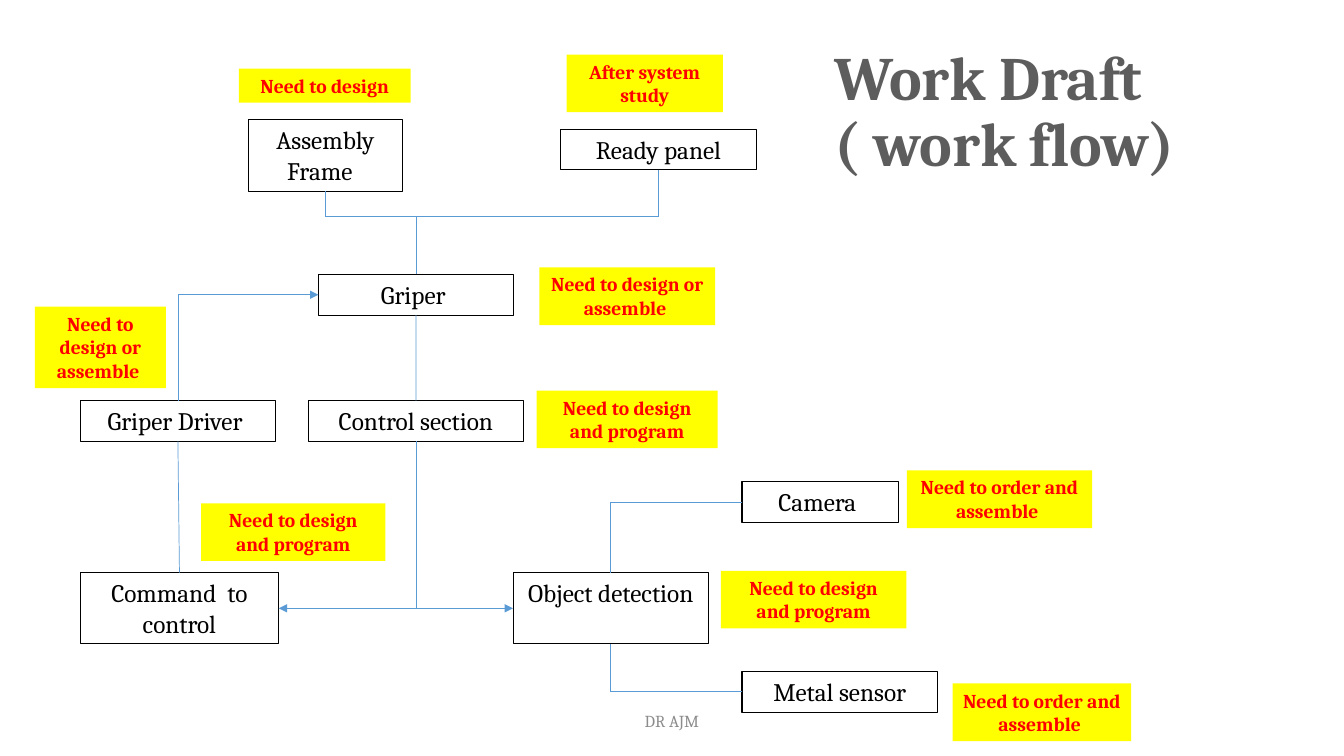
from itertools import pairwise

from lxml.etree import SubElement
from pptx import Presentation
from pptx.dml.color import RGBColor
from pptx.enum.shapes import MSO_CONNECTOR, MSO_SHAPE
from pptx.enum.text import MSO_ANCHOR, PP_ALIGN
from pptx.oxml.ns import qn
from pptx.util import Pt

BLACK = RGBColor(0x00, 0x00, 0x00)
RED = RGBColor(0xFF, 0x00, 0x00)
YELLOW = RGBColor(0xFF, 0xFF, 0x00)
BLUE = RGBColor(0x5B, 0x9B, 0xD5)
TITLE_GRAY = RGBColor(0x5D, 0x5D, 0x5D)
FOOTER_GRAY = RGBColor(0x8C, 0x8C, 0x8C)
FONT = "Cambria"

TITLE = "Work Draft\n( work flow)"
FOOTER = "DR AJM"

STEP_HEIGHTS = {1: 29.1, 2: 51}
STEPS = {
    "frame": ("Assembly Frame  ", 177.2, 85.5, 110.4, 2),
    "panel": ("Ready panel", 400.4, 92.3, 140, 1),
    "driver": ("Griper Driver ", 57.3, 286.1, 139.6, 1),
    "griper": ("Griper ", 227.4, 196, 139.6, 1),
    "control": ("Control section", 220.3, 286.1, 153.6, 1),
    "command": ("Command  to control", 57.3, 409, 141.8, 2),
    "detection": ("Object detection", 366.5, 409, 139.6, 2),
    "camera": ("Camera ", 530, 344, 111.6, 1),
    "sensor": ("Metal sensor", 530, 479.5, 139.6, 1),
}

NOTE_HEIGHTS = {1: 24.3, 2: 41.2, 3: 58.2}
NOTES = [
    ("After system study", 404.7, 39, 111.6, 2),
    ("Need to design", 170.6, 49, 122.7, 1),
    ("Need to design or assemble ", 385.3, 191, 125.5, 2),
    ("Need to design and program", 383.3, 279, 129.4, 2),
    ("Need to order and assemble ", 647.9, 336, 132.2, 2),
    ("Need to design and program", 515, 407.7, 132.5, 2),
    ("Need to order and assemble ", 680.5, 488.2, 127.5, 2),
    ("Need to design or assemble ", 25, 219, 93.5, 3),
    ("Need to design and program", 143.7, 359.5, 131.6, 2),
]

deck = Presentation()
deck.slide_width, deck.slide_height = Pt(960), Pt(540)
page = deck.slides.add_slide(deck.slide_layouts[6])


def write(frame, text, size, color, bold=False, align=PP_ALIGN.CENTER,
          anchor=MSO_ANCHOR.TOP, spacing=None):
    frame.word_wrap = True
    frame.vertical_anchor = anchor
    para = frame.paragraphs[0]
    para.alignment = align
    para.line_spacing = spacing
    for index, line in enumerate(text.split("\n")):
        if index:
            para.add_line_break()
        span = para.add_run()
        span.text = line
        span.font.name = FONT
        span.font.size = Pt(size)
        span.font.bold = bold
        span.font.color.rgb = color


def add_text(text, left, top, width, height, **style):
    box = page.shapes.add_textbox(Pt(left), Pt(top), Pt(width), Pt(height))
    write(box.text_frame, text, anchor=MSO_ANCHOR.MIDDLE, **style)


def add_box(text, left, top, width, height, fill=None, line=None, **style):
    box = page.shapes.add_shape(MSO_SHAPE.RECTANGLE, Pt(left), Pt(top), Pt(width), Pt(height))
    box.shadow.inherit = False
    if fill is None:
        box.fill.background()
    else:
        box.fill.solid()
        box.fill.fore_color.rgb = fill
    if line is None:
        box.line.fill.background()
    else:
        box.line.color.rgb = line
        box.line.width = Pt(0.75)
    write(box.text_frame, text, **style)


def add_route(points, arrow=False):
    legs = list(pairwise(points))
    for number, (start, end) in enumerate(legs, 1):
        leg = page.shapes.add_connector(MSO_CONNECTOR.STRAIGHT, *map(Pt, start + end))
        leg.line.color.rgb = BLUE
        leg.line.width = Pt(0.5)
        if arrow and number == len(legs):
            SubElement(leg.line._get_or_add_ln(), qn("a:tailEnd"), type="triangle")
        SubElement(leg._element.spPr, qn("a:effectLst"))


def side(name, where):
    _, left, top, width, lines = STEPS[name]
    height = STEP_HEIGHTS[lines]
    across, down = {"top": (0.5, 0), "bottom": (0.5, 1),
                    "left": (0, 0.5), "right": (1, 0.5)}[where]
    return left + across * width, top + down * height


def corner(column, row):
    return column[0], row[1]


add_text(FOOTER, 318, 500.5, 324, 28.8, size=12, color=FOOTER_GRAY)
add_text(TITLE, 589, 28.8, 358, 104.4, size=44, color=TITLE_GRAY, bold=True,
         align=PP_ALIGN.LEFT, spacing=0.9)

for text, left, top, width, lines in STEPS.values():
    add_box(text, left, top, width, STEP_HEIGHTS[lines], line=BLACK, size=18, color=BLACK)

frame_out, panel_out = side("frame", "bottom"), side("panel", "bottom")
griper_top, griper_in = side("griper", "top"), side("griper", "left")
driver_top = side("driver", "top")
control_out = side("control", "bottom")
detection_in, command_in = side("detection", "left"), side("command", "right")
detection_top, detection_out = side("detection", "top"), side("detection", "bottom")
camera_in, sensor_in = side("camera", "left"), side("sensor", "left")
merge = (griper_top[0], 154.8)
split = corner(control_out, detection_in)

add_route([panel_out, corner(panel_out, merge), corner(frame_out, merge), frame_out])
add_route([merge, griper_top])
add_route([side("griper", "bottom"), side("control", "top")])
add_route([control_out, split])
add_route([split, detection_in], arrow=True)
add_route([split, command_in], arrow=True)
add_route([camera_in, corner(detection_top, camera_in), detection_top])
add_route([detection_out, corner(detection_out, sensor_in), sensor_in])
add_route([driver_top, corner(driver_top, griper_in), griper_in], arrow=True)
add_route([side("command", "top"), side("driver", "bottom")])

for text, left, top, width, lines in NOTES:
    add_box(text, left, top, width, NOTE_HEIGHTS[lines], fill=YELLOW, size=14, color=RED, bold=True)

deck.save("out.pptx")
